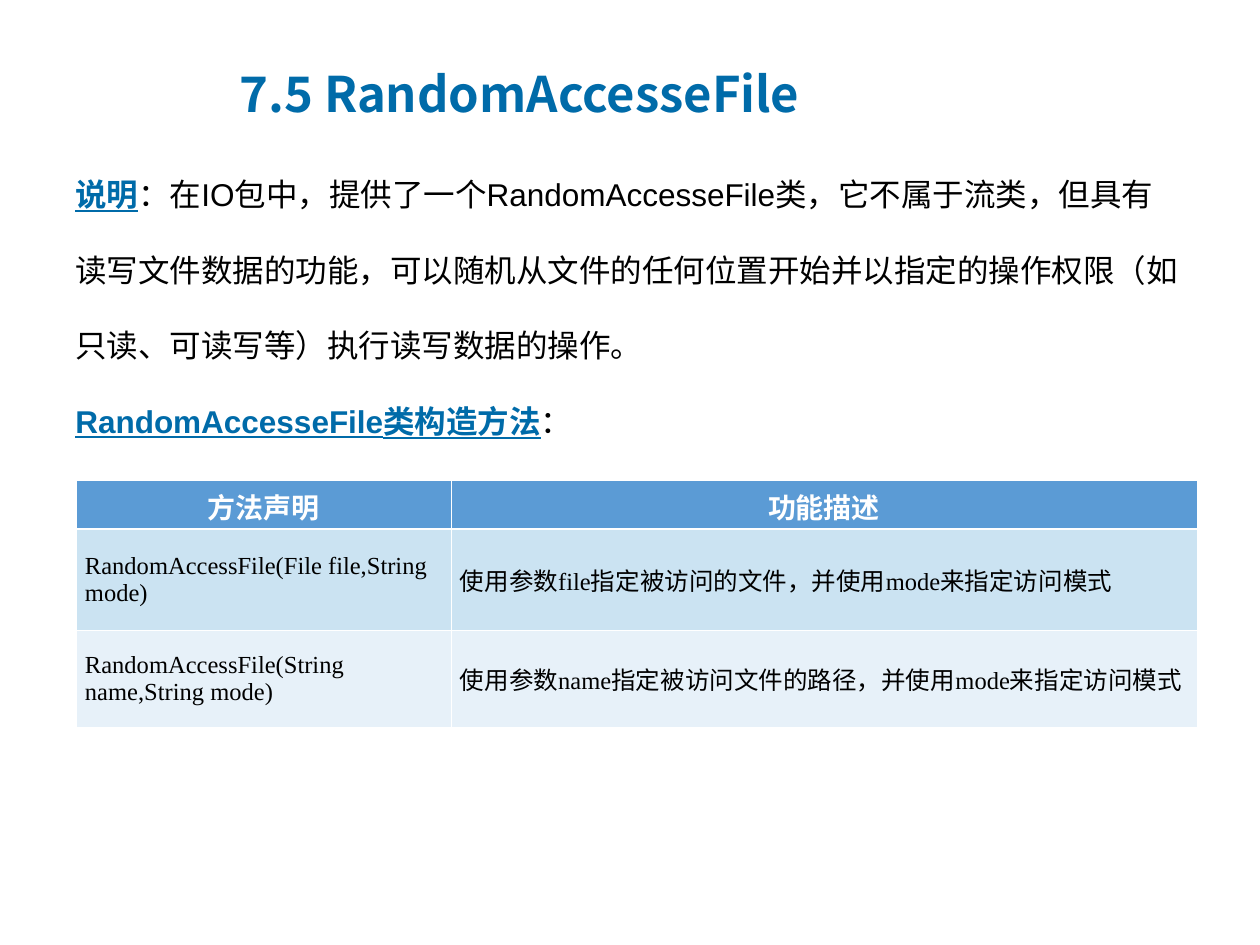
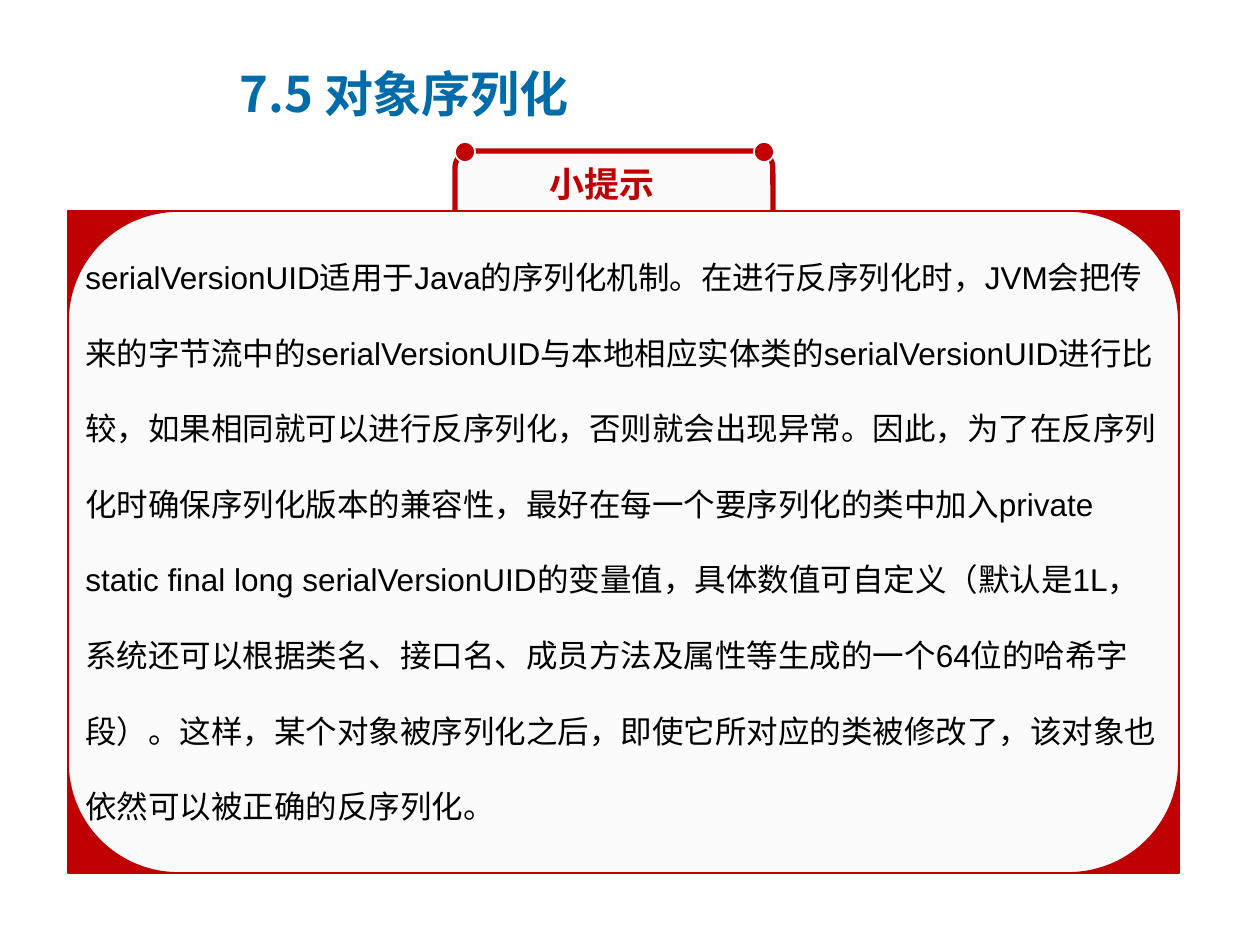
from lxml.etree import SubElement
from pptx import Presentation
from pptx.dml.color import RGBColor
from pptx.enum.shapes import MSO_SHAPE as SHAPE
from pptx.enum.text import MSO_ANCHOR as ANCHOR, PP_ALIGN as ALIGN
from pptx.oxml.ns import qn
from pptx.util import Pt

PX = 7257  # EMU in one pixel, 126 pixels to the inch
rgb = RGBColor.from_string

BLUE, RED, PALE = "006BA9", "C00000", "FBFBFB"
WHITE, BLACK = "FFFFFF", "000000"
CJK = "Noto Sans CJK SC"
KEY = {"bold": True, "underline": True, "color": BLUE}


def write(frame, paragraphs, size=18, font="Arial", color=BLACK, bold=False,
          align=ALIGN.LEFT, spacing=1, anchor=ANCHOR.TOP, wrap=True):
    """Each paragraph is a list of (text, run overrides) pairs."""
    frame.word_wrap = wrap
    frame.vertical_anchor = anchor
    for i, runs in enumerate(paragraphs):
        paragraph = frame.add_paragraph() if i else frame.paragraphs[0]
        paragraph.alignment = align
        paragraph.line_spacing = spacing
        for text, changes in runs:
            run = paragraph.add_run()
            run.text = text
            run.font.name = font
            run.font.size = Pt(size)
            run.font.bold = changes.get("bold", bold)
            run.font.underline = changes.get("underline", False)
            run.font.color.rgb = rgb(changes.get("color", color))
            SubElement(run.font._element, qn("a:ea"), typeface=CJK)


def draw(slide, kind, box, fill, line, weight):
    shape = slide.shapes.add_shape(kind, *[n * PX for n in box])
    shape.shadow.inherit = False
    shape.fill.solid()
    shape.fill.fore_color.rgb = rgb(fill)
    shape.line.color.rgb = rgb(line)
    shape.line.width = Pt(weight)


deck = Presentation()
deck.slide_width, deck.slide_height = 1260 * PX, 945 * PX

# Both slides share the title style
slides = []
for heading in ("7.5 RandomAccesseFile", "7.5 对象序列化"):
    slide = deck.slides.add_slide(deck.slide_layouts[6])
    title = slide.shapes.add_textbox(227 * PX, 54 * PX, 735 * PX, 77 * PX)
    write(title.text_frame, [[(heading, {})]], size=28, font=CJK, color=BLUE,
          bold=True, anchor=ANCHOR.MIDDLE)
    slides.append(slide)
random_access, serialization = slides

# Slide 1: explanation
explanation = random_access.shapes.add_textbox(63 * PX, 131 * PX, 1134 * PX, 330 * PX)
write(explanation.text_frame, [
    [("说明", KEY),
     ("：在IO包中，提供了一个RandomAccesseFile类，它不属于流类，但具有读写文件数据的功能，"
      "可以随机从文件的任何位置开始并以指定的操作权限（如只读、可读写等）执行读写数据的操作。", {})],
    [("RandomAccesseFile类构造方法", KEY), ("：", {})],
], spacing=2)

# Slide 1: table of constructors
constructors = [
    ("方法声明", "功能描述"),
    ("RandomAccessFile(File file,String mode)",
     "使用参数file指定被访问的文件，并使用mode来指定访问模式"),
    ("RandomAccessFile(String name,String mode)",
     "使用参数name指定被访问文件的路径，并使用mode来指定访问模式"),
]
row_fills = ["5B9BD5", "CBE3F2", "E7F1F9"]
table = random_access.shapes.add_table(
    3, 2, 76 * PX, 480 * PX, 1121 * PX, 248 * PX).table
for column, width in zip(table.columns, (375, 746)):
    column.width = width * PX
for r, (height, fill, texts) in enumerate(zip((49, 101, 98), row_fills, constructors)):
    table.rows[r].height = height * PX
    header = r == 0
    for c, text in enumerate(texts):
        cell = table.cell(r, c)
        cell.margin_left = cell.margin_right = 9 * PX
        cell.margin_top = cell.margin_bottom = 6 * PX
        cell.vertical_anchor = ANCHOR.MIDDLE
        # White rules, heavier between the header and the body
        for side in "LRTB":
            heavy = (r, side) in ((0, "B"), (1, "T"))
            rule = SubElement(cell._tc.get_or_add_tcPr(), qn("a:ln" + side),
                              w=str(Pt(1.5 if heavy else 0.5)))
            SubElement(SubElement(rule, qn("a:solidFill")), qn("a:srgbClr"), val=WHITE)
        cell.fill.solid()
        cell.fill.fore_color.rgb = rgb(fill)
        write(cell.text_frame, [[(text, {})]],
              size=16 if header else 14,
              font="Calibri" if header else "Times New Roman",
              color=WHITE if header else BLACK, bold=header,
              align=ALIGN.CENTER if header else ALIGN.LEFT, anchor=ANCHOR.MIDDLE)

# Slide 2: tip tab with two pins
draw(serialization, SHAPE.ROUNDED_RECTANGLE, (455, 151, 318, 100), PALE, RED, 3)
for pin_left in (455, 754):
    draw(serialization, SHAPE.OVAL, (pin_left, 142, 20, 20), RED, WHITE, 1)
tip = serialization.shapes.add_textbox(537 * PX, 156 * PX, 130 * PX, 55 * PX)
write(tip.text_frame, [[("小提示", {})]], size=20, font=CJK, color=RED,
      bold=True, wrap=False)

# Slide 2: rounded panel on red corners
for kind, fill in ((SHAPE.FLOWCHART_PROCESS, RED),
                   (SHAPE.FLOWCHART_ALTERNATE_PROCESS, PALE)):
    draw(serialization, kind, (68, 211, 1111, 662), fill, RED, 1)
advice = serialization.shapes.add_textbox(73 * PX, 214 * PX, 1100 * PX, 617 * PX)
write(advice.text_frame, [[(
    "serialVersionUID适用于Java的序列化机制。在进行反序列化时，JVM会把传来的字节流中的"
    "serialVersionUID与本地相应实体类的serialVersionUID进行比较，如果相同就可以进行反序列化，"
    "否则就会出现异常。因此，为了在反序列化时确保序列化版本的兼容性，最好在每一个要序列化的类中加入"
    "private static final long serialVersionUID的变量值，具体数值可自定义（默认是1L，"
    "系统还可以根据类名、接口名、成员方法及属性等生成的一个64位的哈希字段）。这样，"
    "某个对象被序列化之后，即使它所对应的类被修改了，该对象也依然可以被正确的反序列化。", {})]],
      spacing=2)

deck.save("out.pptx")
